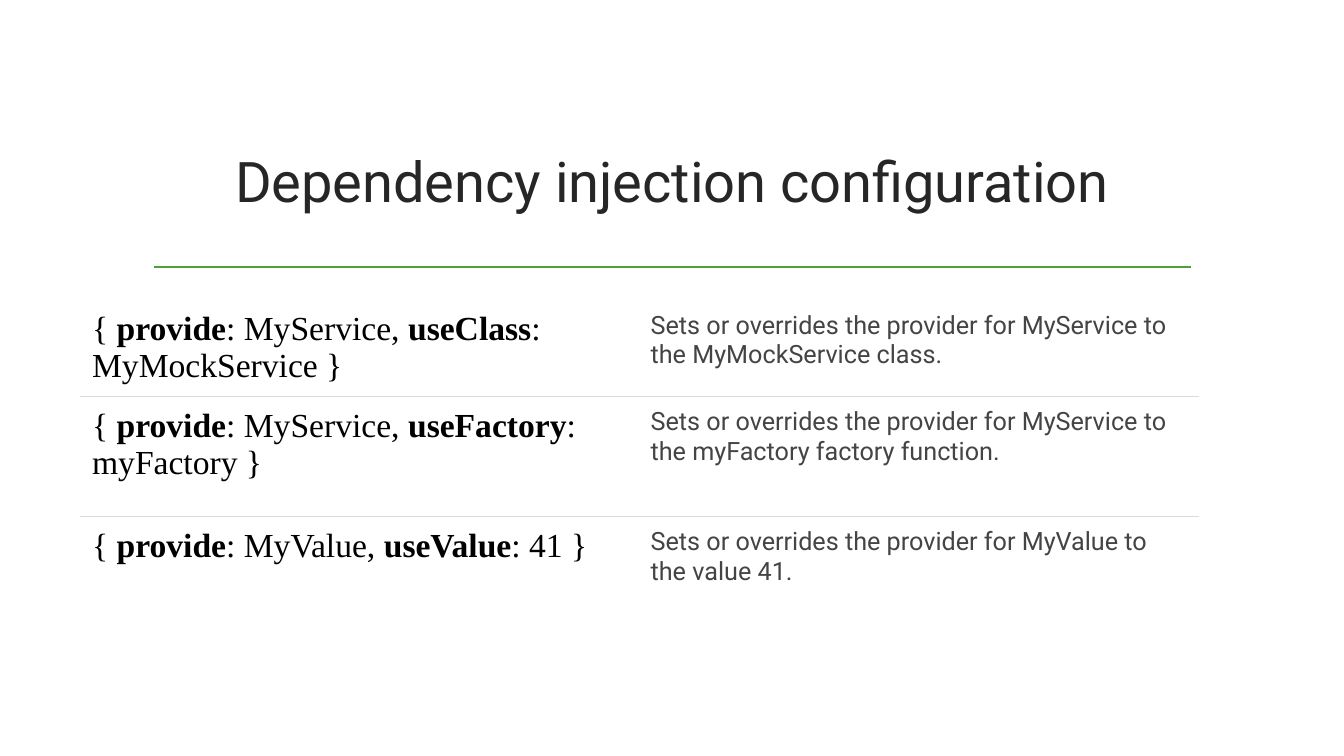
import dataclasses

import lxml.etree
import pptx
import pptx.dml.color
import pptx.enum.shapes
import pptx.enum.text
import pptx.oxml.ns
import pptx.util


@dataclasses.dataclass(frozen=True)
class Theme:
    title_color: str = "262626"
    code_color: str = "000000"
    body_color: str = "444444"
    accent: str = "549E39"
    border: str = "DBDBDB"
    background: str = "FFFFFF"
    body_font: str = "Roboto"
    code_font: str = "Times New Roman"
    title_size: int = 40
    code_size: int = 24
    body_size: int = 18


def rgb(color):
    return pptx.dml.color.RGBColor.from_string(color)


class SlideBuilder:
    def __init__(self, slide, theme):
        self.slide = slide
        self.theme = theme

    def style(self, paragraph, font, size, color):
        paragraph.font.name = font
        paragraph.font.size = pptx.util.Pt(size)
        paragraph.font.color.rgb = rgb(color)

    def title(self, text, left, top, width, height):
        shape = self.slide.shapes.title
        shape.left, shape.top = pptx.util.Pt(left), pptx.util.Pt(top)
        shape.width, shape.height = pptx.util.Pt(width), pptx.util.Pt(height)
        frame = shape.text_frame
        frame.text = text
        frame.auto_size = pptx.enum.text.MSO_AUTO_SIZE.NONE
        frame.vertical_anchor = pptx.enum.text.MSO_ANCHOR.MIDDLE
        paragraph = frame.paragraphs[0]
        paragraph.alignment = pptx.enum.text.PP_ALIGN.CENTER
        self.style(paragraph, self.theme.body_font, self.theme.title_size, self.theme.title_color)

    def rule(self, left, right, top):
        connector = self.slide.shapes.add_connector(
            pptx.enum.shapes.MSO_CONNECTOR.STRAIGHT,
            *(pptx.util.Pt(value) for value in (left, top, right, top)),
        )
        connector.line.color.rgb = rgb(self.theme.accent)
        connector.line.width = pptx.util.Pt(1.25)
        properties = connector.element.spPr
        lxml.etree.SubElement(properties, pptx.oxml.ns.qn("a:effectLst"))

    def border(self, cell, side):
        properties = cell._tc.get_or_add_tcPr()
        line = lxml.etree.SubElement(properties, pptx.oxml.ns.qn(f"a:{side}"))
        line.set("w", str(int(pptx.util.Pt(0.5))))
        fill = lxml.etree.SubElement(line, pptx.oxml.ns.qn("a:solidFill"))
        color = lxml.etree.SubElement(fill, pptx.oxml.ns.qn("a:srgbClr"))
        color.set("val", self.theme.border)

    def cell(self, cell, sides, inset):
        for side in sides:
            self.border(cell, side)
        cell.fill.solid()
        cell.fill.fore_color.rgb = rgb(self.theme.background)
        cell.margin_left = cell.margin_right = pptx.util.Pt(inset)
        cell.margin_top = cell.margin_bottom = pptx.util.Pt(inset)
        return cell.text_frame.paragraphs[0]

    def provider_table(self, providers, left, top, column_width, row_heights):
        table = self.slide.shapes.add_table(
            len(providers), 2, pptx.util.Pt(left), pptx.util.Pt(top),
            pptx.util.Pt(2 * column_width), pptx.util.Pt(sum(row_heights)),
        ).table
        table.first_row = False
        table.horz_banding = False
        last = len(providers) - 1
        for index, (token, option, value, description) in enumerate(providers):
            table.rows[index].height = pptx.util.Pt(row_heights[index])
            sides = (["lnT"] if index > 0 else []) + (["lnB"] if index < last else [])
            code, explanation = (
                self.cell(table.cell(index, column), sides, 8) for column in range(2)
            )
            pieces = ["{ ", "provide", f": {token}, ", option, f": {value} }}"]
            for position, piece in enumerate(pieces):
                run = code.add_run()
                run.text = piece
                run.font.bold = position % 2 == 1
            explanation.text = description
            self.style(code, self.theme.code_font, self.theme.code_size, self.theme.code_color)
            self.style(explanation, self.theme.body_font, self.theme.body_size, self.theme.body_color)


PROVIDERS = [
    ("MyService", "useClass", "MyMockService",
     "Sets or overrides the provider for MyService to the MyMockService class."),
    ("MyService", "useFactory", "myFactory",
     "Sets or overrides the provider for MyService to the myFactory factory function."),
    ("MyValue", "useValue", "41",
     "Sets or overrides the provider for MyValue to the value 41."),
]


def main():
    presentation = pptx.Presentation()
    presentation.slide_width = pptx.util.Pt(960)
    presentation.slide_height = pptx.util.Pt(540)
    slide = presentation.slides.add_slide(presentation.slide_layouts[5])
    builder = SlideBuilder(slide, Theme())
    builder.rule(110, 850.5, 190.6)
    builder.title("Dependency injection configuration", 102, 77, 756, 103)
    builder.provider_table(PROVIDERS, 57.8, 214, 399, [62.6, 85.7, 62.6])
    presentation.save("out.pptx")


if __name__ == "__main__":
    main()
